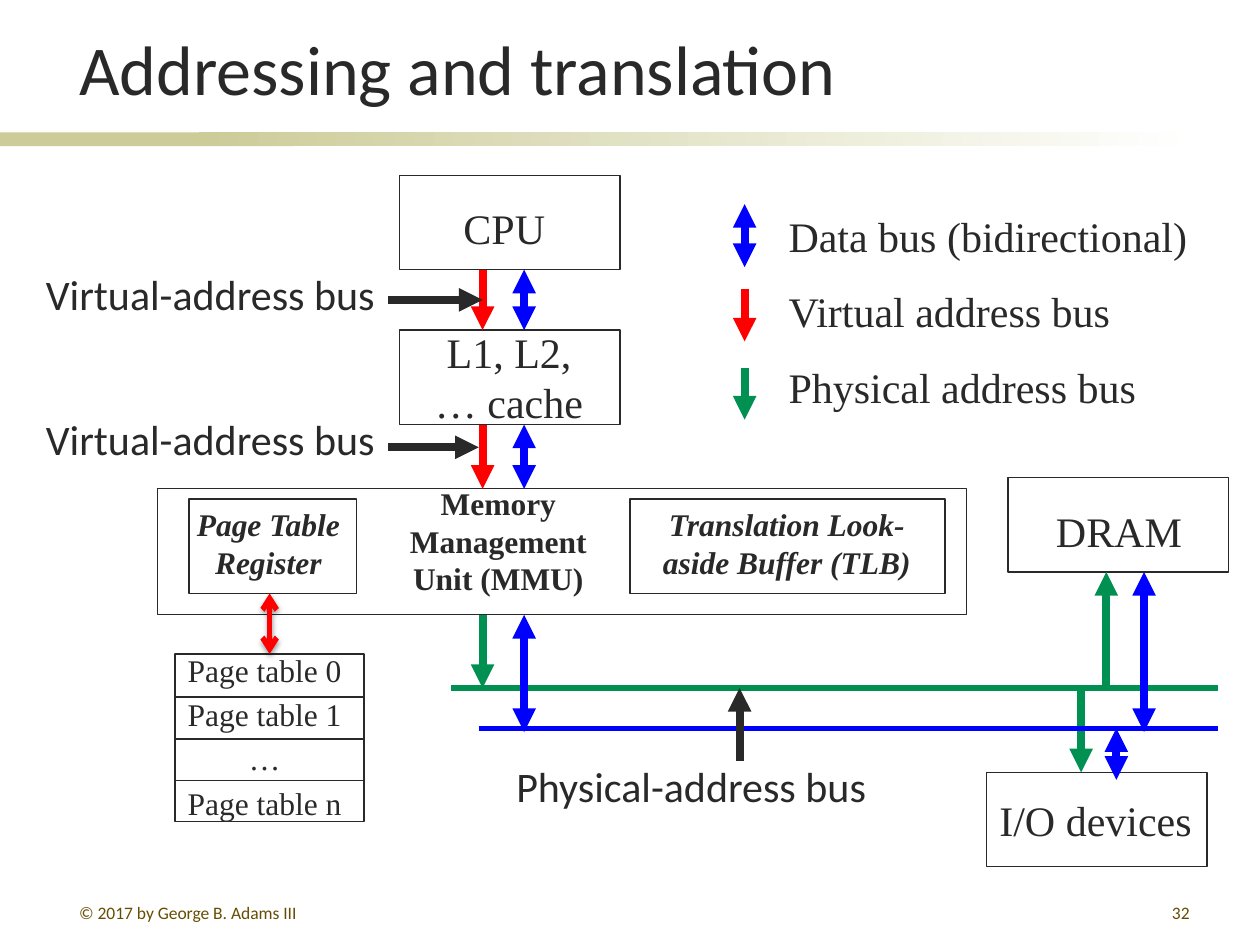
from dataclasses import dataclass

from lxml import etree
from pptx import Presentation
from pptx.dml.color import RGBColor
from pptx.enum.shapes import MSO_CONNECTOR, MSO_SHAPE
from pptx.enum.text import MSO_ANCHOR, MSO_AUTO_SIZE, PP_ALIGN
from pptx.oxml.ns import qn
from pptx.util import Inches, Pt

STRAIGHT = MSO_CONNECTOR.STRAIGHT
RECTANGLE = MSO_SHAPE.RECTANGLE
LEFT, CENTER, RIGHT = PP_ALIGN.LEFT, PP_ALIGN.CENTER, PP_ALIGN.RIGHT
TOP, BOTTOM = MSO_ANCHOR.TOP, MSO_ANCHOR.BOTTOM
TITLE_ONLY = 5
TOP_SIDE = 0


@dataclass(frozen=True)
class Theme:
    ink: str = "292929"
    paper: str = "FFFFFF"
    band: str = "CCCC99"
    footer: str = "664D00"
    virtual: str = "FF0000"
    physical: str = "009051"
    data: str = "0000FF"
    shadow: str = "000000"
    sans: str = "Calibri"
    serif: str = "Times New Roman"
    title_size: int = 40
    label_size: int = 24
    detail_size: int = 18
    footer_size: int = 10
    outline: float = 0.75
    rail: float = 3
    arrow: float = 4.5


THEME = Theme()


@dataclass(frozen=True)
class Box:
    """An area of the page, in inches."""
    left: float
    top: float
    width: float
    height: float

    def inner(self, x, y, width, height):
        return Box(self.left + x, self.top + y, width, height)

    def point(self, x, y):
        return Inches(self.left + x), Inches(self.top + y)

    def lengths(self):
        return [Inches(n) for n in (self.left, self.top, self.width, self.height)]


# Building blocks
def fill_text(shape, text, size=THEME.label_size, font=THEME.serif, color=THEME.ink,
              align=CENTER, anchor=TOP, bold=False, italic=False):
    frame = shape.text_frame
    frame.word_wrap = True
    frame.auto_size = MSO_AUTO_SIZE.NONE
    frame.vertical_anchor = anchor
    para = frame.paragraphs[0]
    para.alignment = align
    span = para.add_run()
    span.text = text
    span.font.size = Pt(size)
    span.font.name = font
    span.font.bold = bold
    span.font.italic = italic
    span.font.color.rgb = RGBColor.from_string(color)


def add_text(page, box, text, **style):
    fill_text(page.shapes.add_textbox(*box.lengths()), text, **style)


def add_block(page, box, fill=THEME.paper, line=THEME.ink):
    block = page.shapes.add_shape(RECTANGLE, *box.lengths())
    block.shadow.inherit = False
    if fill:
        block.fill.solid()
        block.fill.fore_color.rgb = RGBColor.from_string(fill)
    else:
        block.fill.background()
    if line:
        block.line.color.rgb = RGBColor.from_string(line)
        block.line.width = Pt(THEME.outline)
    else:
        block.line.fill.background()
    return block


def add_line(page, begin, end, color=THEME.ink, width=THEME.arrow, head=None, tail=None):
    line = page.shapes.add_connector(STRAIGHT, *begin, *end)
    line.line.color.rgb = RGBColor.from_string(color)
    line.line.width = Pt(width)
    outline = line._element.spPr.find(qn("a:ln"))
    for tag, kind in (("a:headEnd", head), ("a:tailEnd", tail)):
        if kind:
            etree.SubElement(outline, qn(tag), type=kind)
    etree.SubElement(line._element.spPr, qn("a:effectLst"))
    return line


def add_arrow(page, begin, end, color=THEME.ink, two_way=False):
    return add_line(page, begin, end, color, head="triangle" if two_way else None,
                    tail="triangle")


def add_soft_shadow(line):
    effects = line._element.spPr.find(qn("a:effectLst"))
    shadow = etree.SubElement(effects, qn("a:outerShdw"), blurRad=str(Pt(3.1)),
                              dist=str(Pt(1.6)), dir="5400000", rotWithShape="0")
    tint = etree.SubElement(shadow, qn("a:srgbClr"), val=THEME.shadow)
    etree.SubElement(tint, qn("a:alpha"), val="38000")


# Regions of the page
def draw_header(page, box):
    add_block(page, box.inner(0, 1.05, 2.33, 0.11), THEME.band, None)
    fade = add_block(page, box.inner(1.58, 1.05, 7.92, 0.11), THEME.band, None)
    fade.fill.gradient()
    fade.fill.gradient_angle = 0
    for stop, color in zip(fade.fill.gradient_stops, (THEME.band, THEME.paper)):
        stop.color.rgb = RGBColor.from_string(color)
    title = page.shapes.title
    title.left, title.top, title.width, title.height = box.inner(0.53, 0.11, 9.01, 0.81).lengths()
    fill_text(title, "Addressing and translation", size=THEME.title_size,
              font=THEME.sans, align=LEFT, anchor=BOTTOM)


def draw_footer(page, box):
    style = dict(size=THEME.footer_size, font=THEME.sans, color=THEME.footer)
    add_text(page, box.inner(0, 0, 2.17, box.height), "© 2017 by George B. Adams III",
             align=LEFT, **style)
    add_text(page, box.inner(box.width - 2.08, 0, 2.08, box.height), "32", align=RIGHT, **style)


def draw_processor(page, box):
    add_block(page, box.inner(3, 0, 1.75, 0.75))
    add_text(page, box.inner(3.41, 0.17, 1.08, 0.5), "CPU", align=LEFT)
    add_block(page, box.inner(3, 1.23, 1.75, 0.75))
    add_text(page, box.inner(3.16, 1.15, 1.42, 0.91), "L1, L2, … cache")
    # Buses below the CPU and below the cache, each with its label and pointer
    for top, bottom, label_top, pointer, tip in ((0.75, 1.23, 0.69, 0.99, 3.66),
                                                 (1.98, 2.49, 1.84, 2.16, 3.63)):
        add_arrow(page, box.point(3.66, top), box.point(3.66, bottom), THEME.virtual)
        add_arrow(page, box.point(3.99, top), box.point(3.99, bottom), THEME.data, two_way=True)
        add_text(page, box.inner(0, label_top, 3, 0.5), "Virtual-address bus", font=THEME.sans)
        add_arrow(page, box.point(2.91, pointer), box.point(tip, pointer))


def draw_mmu(page, box):
    add_block(page, box)
    style = dict(size=THEME.detail_size, bold=True)
    add_text(page, box.inner(1.83, -0.09, 1.75, 1), "Memory Management Unit (MMU)", **style)
    add_text(page, box.inner(3.83, 0.08, 2.33, 0.7), "Translation Look-aside Buffer (TLB)",
             italic=True, **style)
    add_text(page, box.inner(0.17, 0.08, 1.42, 0.7), "Page Table Register", italic=True, **style)
    for left, width in ((3.75, 2.5), (0.25, 1.33)):
        add_block(page, box.inner(left, 0.08, width, 0.75), fill=None)


def draw_page_tables(page, box):
    stack = add_block(page, box)
    names = ("Page table 0", "Page table 1", "…", "Page table n")
    pitch = box.height / len(names)
    for row, name in enumerate(names):
        if row:
            rule = row * pitch + 0.01
            add_line(page, box.point(0, rule), box.point(box.width, rule), width=THEME.outline)
        add_text(page, box.inner(-0.1, row * 0.35 - 0.07, 1.62, 0.4), name,
                 size=THEME.detail_size)
    # Link up to the page table register
    middle = box.width / 2
    link = add_line(page, box.point(middle, 0), box.point(middle, -0.48), THEME.virtual,
                    THEME.rail, head="arrow", tail="arrow")
    link.begin_connect(stack, TOP_SIDE)
    add_soft_shadow(link)


def draw_memory_buses(page, box):
    # Devices
    add_block(page, box.inner(4.42, 0, 1.75, 0.75))
    add_text(page, box.inner(4.59, 0.17, 1.42, 0.5), "DRAM")
    add_block(page, box.inner(4.25, 2.34, 1.75, 0.75))
    add_text(page, box.inner(4.24, 2.47, 1.75, 0.5), "I/O devices")
    # Physical address bus and its branches
    address, data = 1.67, 1.99
    add_line(page, box.point(0, address), box.point(6.09, address), THEME.physical, THEME.rail)
    for x, begin, end in ((0.25, 1.09, address), (5.2, address, 0.75), (5, address, 2.34)):
        add_arrow(page, box.point(x, begin), box.point(x, end), THEME.physical)
    # Data bus and its branches
    add_line(page, box.point(0.22, data), box.point(6.09, data), THEME.data, THEME.rail)
    for x, begin, end in ((0.58, 1.09, 2.02), (5.5, 0.75, 2.02), (5.28, data, 2.4)):
        add_arrow(page, box.point(x, begin), box.point(x, end), THEME.data, two_way=True)
    add_text(page, box.inner(0.11, 2.2, 3.59, 0.5), "Physical-address bus", font=THEME.sans)
    add_arrow(page, box.point(2.29, 2.25), box.point(2.29, address))


def draw_legend(page, box):
    entries = (("Data bus (bidirectional)", THEME.data, 0, 0.5),
               ("Virtual address bus", THEME.virtual, 0.67, 1.09),
               ("Physical address bus", THEME.physical, 1.3, 1.71))
    for row, (label, color, begin, end) in enumerate(entries):
        add_arrow(page, box.point(0, begin), box.point(0, end), color,
                  two_way=color == THEME.data)
        add_text(page, box.inner(0.25, row * 0.6, 3.52, 0.5), label, align=LEFT)


def main():
    deck = Presentation()
    deck.slide_width, deck.slide_height = Inches(10), Inches(7.5)
    page = deck.slides.add_slide(deck.slide_layouts[TITLE_ONLY])
    draw_header(page, Box(0, 0, 10, 1.16))
    draw_footer(page, Box(0.53, 7.11, 9.01, 0.21))
    draw_mmu(page, Box(1.25, 3.88, 6.42, 1))
    draw_processor(page, Box(0.17, 1.39, 4.75, 2.49))
    draw_page_tables(page, Box(1.39, 5.19, 1.5, 1.33))
    draw_memory_buses(page, Box(3.58, 3.79, 6.17, 3.09))
    draw_legend(page, Box(5.91, 1.62, 3.77, 1.71))
    deck.save("out.pptx")


if __name__ == "__main__":
    main()
